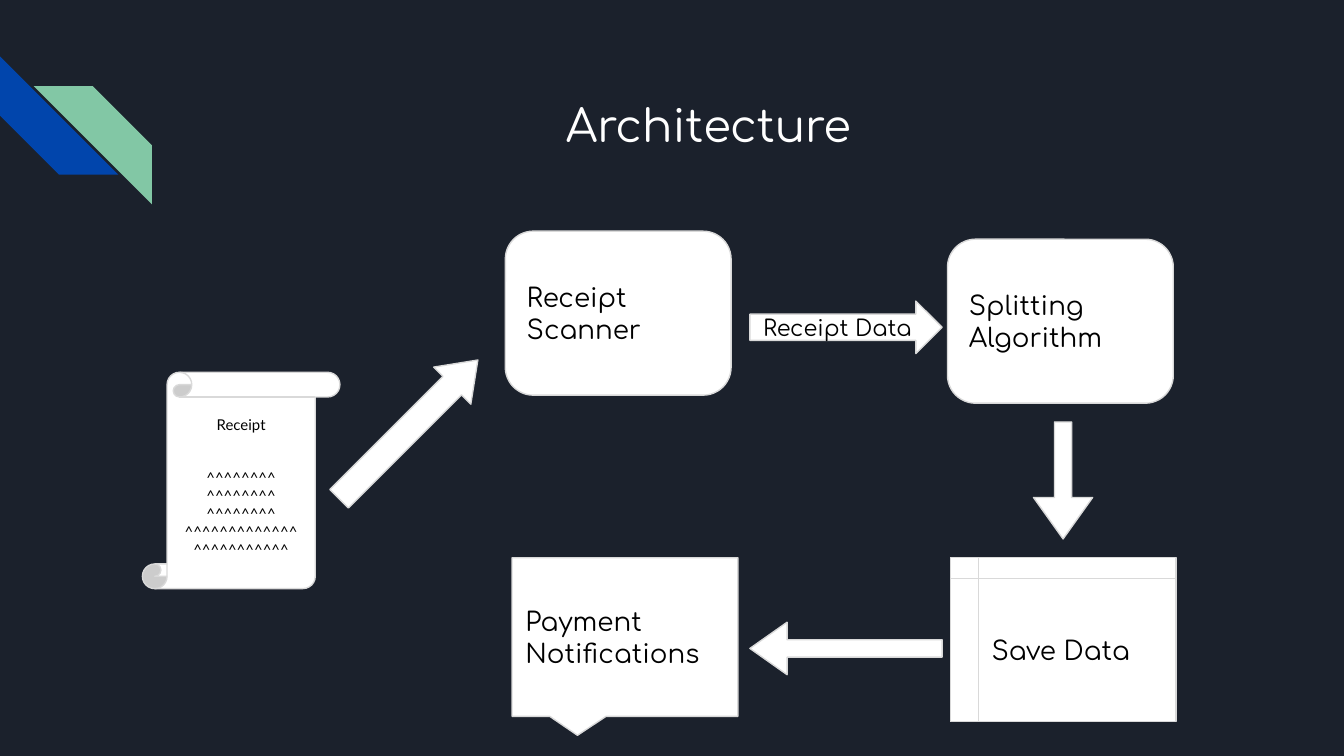
from pptx import Presentation
from pptx.dml.color import RGBColor
from pptx.enum.shapes import MSO_SHAPE as Preset
from pptx.enum.text import MSO_ANCHOR as Anchor, PP_ALIGN as Align
from pptx.util import Inches, Pt

THEME = {
    "background": "1B212C", "node": "FFFFFF", "outline": "D9D9D9",
    "ink": "000000", "title": "FFFFFF", "blue": "0145AC", "green": "82C7A5",
    "font": "Comfortaa", "receipt_font": "Lato",
    "title_size": 24, "node_size": 14, "arrow_size": 12, "receipt_size": 8,
}

TITLE = "Architecture"
TITLE_BOX = (1.42, 0.43, 7.7, 1)
NODE_WIDTH = 1.68
NODE_HEIGHT = 1.22
ARROW_SIZE = (1.43, 0.39)

STRIPES = [
    ((0, 0.42), "blue", 270, False),
    ((0.25, 0.64), "green", 0, True),
]
RECEIPT_BOX = (1.06, 2.77, 1.47, 1.61)
RECEIPT_LINES = [("Receipt", 0), ("^" * 8, 19), ("^" * 8, 0), ("^" * 8, 0), ("^" * 24, 0)]
NODES = [
    ("Receipt Scanner", Preset.ROUNDED_RECTANGLE, (3.76, 1.72), NODE_HEIGHT, [0.17]),
    ("Splitting Algorithm", Preset.ROUNDED_RECTANGLE, (7.05, 1.78), NODE_HEIGHT, [0.17]),
    ("Save Data", Preset.FLOWCHART_INTERNAL_STORAGE, (7.07, 4.15), NODE_HEIGHT, []),
    ("Payment Notifications", Preset.ROUNDED_RECTANGULAR_CALLOUT, (3.81, 4.15), 1.18,
     [-0.21, 0.62, 0]),
]
ARROWS = [
    ("", Preset.RIGHT_ARROW, (2.31, 3, 1.46, 0.39), [0.5, 0.69], 315),
    ("Receipt Data", Preset.RIGHT_ARROW, (5.58, 2.24, *ARROW_SIZE), [0.5, 0.5], 0),
    ("", Preset.DOWN_ARROW, (7.69, 3.14, 0.44, 0.87), [0.29, 0.7], 0),
    ("", Preset.LEFT_ARROW, (5.58, 4.63, *ARROW_SIZE), [0.33, 0.71], 0),
]


def color(name):
    return RGBColor.from_string(THEME[name])


def add_shape(page, preset, box, fill="node", outline="outline", adjustments=(), rotation=0):
    shape = page.shapes.add_shape(preset, *map(Inches, box))
    shape.shadow.inherit = False
    shape.rotation = rotation
    for index, value in enumerate(adjustments):
        shape.adjustments[index] = value
    shape.fill.solid()
    shape.fill.fore_color.rgb = color(fill)
    if outline:
        shape.line.color.rgb = color(outline)
        shape.line.width = Pt(0.75)
    else:
        shape.line.fill.background()
    return shape


def write(shape, lines, size, font="font", ink="ink", align=Align.LEFT, inset=0.1):
    frame = shape.text_frame
    layout = {
        "word_wrap": True, "vertical_anchor": Anchor.MIDDLE,
        "margin_left": Inches(0.1), "margin_right": Inches(0.1),
        "margin_top": Inches(inset), "margin_bottom": Inches(inset),
    }
    for name, value in layout.items():
        setattr(frame, name, value)
    for index, (text, gap) in enumerate(lines):
        para = frame.add_paragraph() if index else frame.paragraphs[0]
        para.alignment = align
        para.space_before = Pt(gap)
        span = para.add_run()
        span.text = text
        for name, value in {"name": THEME[font], "size": Pt(THEME[size])}.items():
            setattr(span.font, name, value)
        span.font.color.rgb = color(ink)


def build():
    deck = Presentation()
    deck.slide_width = Inches(10)
    deck.slide_height = Inches(10 * 9 / 16)
    page = deck.slides.add_slide(deck.slide_layouts[5])
    page.background.fill.solid()
    page.background.fill.fore_color.rgb = color("background")

    for corner, fill, rotation, flipped in STRIPES:
        stripe = add_shape(page, Preset.DIAGONAL_STRIPE, (*corner, 0.88, 0.88),
                           fill, None, [0.5], rotation)
        if flipped:
            stripe.element.spPr.get_or_add_xfrm().set("flipH", "1")

    title = page.shapes.title
    for name, value in zip(("left", "top", "width", "height"), TITLE_BOX):
        setattr(title, name, Inches(value))
    write(title, [(TITLE, 0)], "title_size", ink="title", align=Align.CENTER, inset=0.05)

    receipt = add_shape(page, Preset.VERTICAL_SCROLL, RECEIPT_BOX, adjustments=[0.125])
    write(receipt, RECEIPT_LINES, "receipt_size", "receipt_font", align=Align.CENTER)

    for text, preset, corner, height, adjustments in NODES:
        node = add_shape(page, preset, (*corner, NODE_WIDTH, height), adjustments=adjustments)
        write(node, [(text, 0)], "node_size")

    for text, preset, box, adjustments, rotation in ARROWS:
        arrow = add_shape(page, preset, box, adjustments=adjustments, rotation=rotation)
        if text:
            write(arrow, [(text, 0)], "arrow_size")

    deck.save("out.pptx")


if __name__ == "__main__":
    build()
